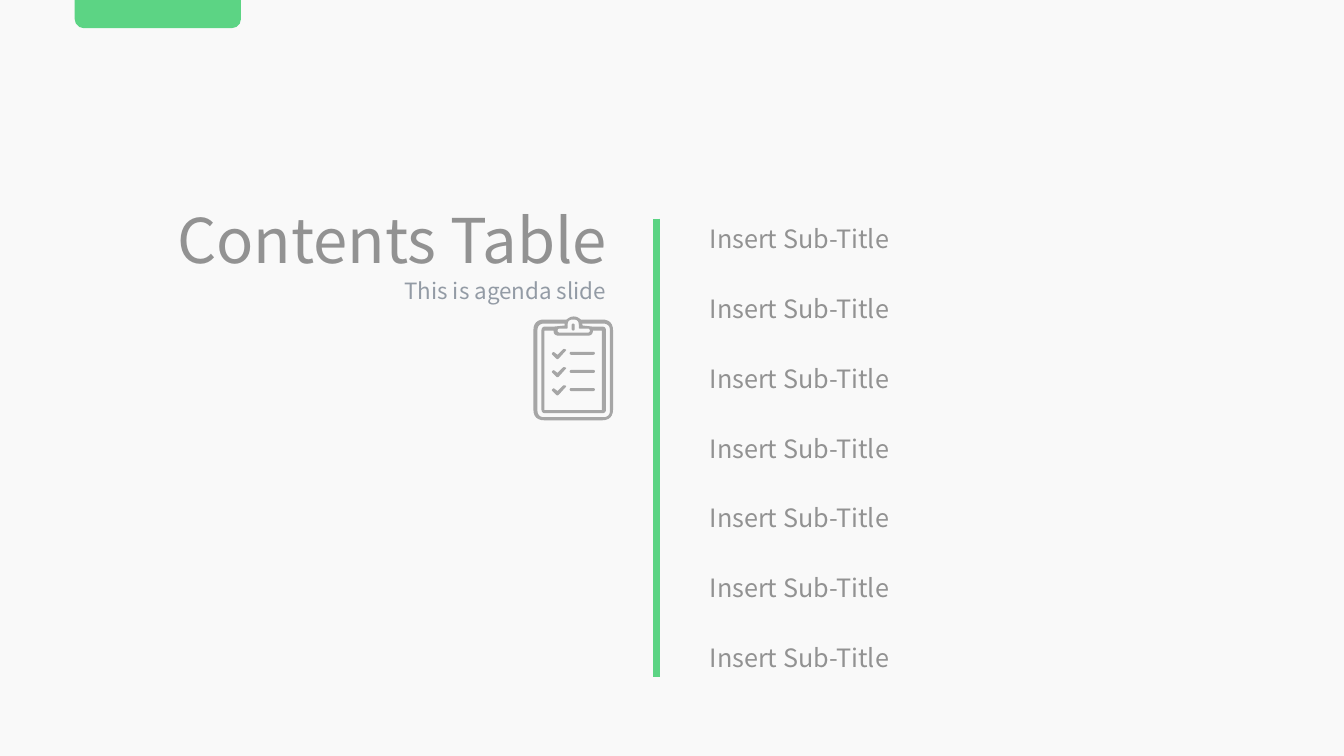
from lxml.etree import SubElement
from pptx import Presentation
from pptx.dml.color import RGBColor
from pptx.enum.shapes import MSO_CONNECTOR, MSO_SHAPE
from pptx.enum.text import MSO_AUTO_SIZE as FIT, PP_ALIGN as AL
from pptx.oxml.ns import qn
from pptx.util import Inches, Pt

BACKGROUND = RGBColor(0xF9, 0xF9, 0xF9)
GREEN = RGBColor(0x5C, 0xD4, 0x84)
GRAY = RGBColor(0x92, 0x92, 0x92)
BLUE_GRAY = RGBColor(0x93, 0x9B, 0xA5)
ICON_GRAY = RGBColor(0xA6, 0xA6, 0xA6)
FONT = "Noto Sans CJK KR"

SUBTITLES = ["Insert Sub-Title"] * 7
FIRST_ROW, LAST_ROW = 2.17, 6.32
CHECK_TOP, CHECK_STEP = 3.46, 0.18

BOARD = [(5.29, 3.17, 0.11), (5.62, 3.17, 0), (5.66, 3.14, 0.03), (5.72, 3.14, 0.03),
         (5.76, 3.17, 0), (6.08, 3.17, 0.11), (6.08, 4.17, 0.11), (5.29, 4.17, 0.11)]
CLIP = [(5.53, 3.26, 0.02), (5.63, 3.26, 0.01), (5.63, 3.17, 0.05), (5.74, 3.17, 0.05),
        (5.74, 3.26, 0.01), (5.85, 3.26, 0.02), (5.85, 3.3, 0.02), (5.53, 3.3, 0.02)]
PAGE = [(5.4, 3.28, 0), (5.49, 3.28, 0), (5.49, 3.33, 0.05), (5.88, 3.33, 0.05),
        (5.88, 3.28, 0), (5.97, 3.28, 0), (5.97, 4.07, 0), (5.4, 4.07, 0)]
GAP = [(5.6, 3.21, 0), (5.33, 3.21, 0.07), (5.33, 4.14, 0.07), (6.05, 4.14, 0.07),
       (6.05, 3.21, 0.07), (5.77, 3.21, 0), (5.78, 3.23, 0), (5.87, 3.24, 0),
       (6.01, 3.24, 0.04), (6.01, 4.1, 0.04), (5.37, 4.1, 0.04), (5.37, 3.24, 0.04),
       (5.5, 3.24, 0), (5.6, 3.23, 0)]
CHECK = [(5.47, 0.05, 0.01), (5.49, 0.03, 0.01), (5.53, 0.06, 0),
         (5.59, 0, 0.01), (5.62, 0.01, 0.01), (5.53, 0.11, 0.02)]


def paint(sp, color):
    """Give a shape a plain fill without line or shadow."""
    sp.shadow.inherit = False
    sp.fill.solid()
    sp.fill.fore_color.rgb = color
    sp.line.fill.background()


def add_text(s, box, text, size, color=GRAY, align=AL.LEFT):
    """Add one line of text in a box."""
    tf = s.shapes.add_textbox(*map(Inches, box)).text_frame
    tf.word_wrap = True
    tf.auto_size = FIT.SHAPE_TO_FIT_TEXT
    p = tf.paragraphs[0]
    p.alignment = align
    r = p.add_run()
    r.text = text
    for name, value in {"name": FONT, "size": Pt(size)}.items():
        setattr(r.font, name, value)
    r.font.color.rgb = color


def add_divider(s, x, top, bottom):
    """Add the vertical green line."""
    line = s.shapes.add_connector(MSO_CONNECTOR.STRAIGHT, *map(Inches, (x, top, x, bottom)))
    line.line.color.rgb = GREEN
    line.line.width = Pt(4.5)
    SubElement(line._element.spPr, qn("a:effectLst"))


def round_corners(corners, steps=6):
    """Return the points of a polygon with its corners rounded."""
    points = []
    for i, (x, y, radius) in enumerate(corners):
        if not radius:
            points.append((Inches(x), Inches(y)))
            continue
        ends = []
        for nx, ny, _ in (corners[i - 1], corners[(i + 1) % len(corners)]):
            part = radius / ((nx - x) ** 2 + (ny - y) ** 2) ** 0.5
            ends.append((x + (nx - x) * part, y + (ny - y) * part))
        (ax, ay), (bx, by) = ends
        for t in (k / steps for k in range(steps + 1)):
            a, c, b = (1 - t) ** 2, 2 * t * (1 - t), t ** 2
            points.append((Inches(a * ax + c * x + b * bx), Inches(a * ay + c * y + b * by)))
    return points


def add_outline(shapes, *contours):
    """Add a freeform whose later contours are holes."""
    first, *holes = map(round_corners, contours)
    builder = shapes.build_freeform(*first[0])
    builder.add_line_segments(first[1:])
    for hole in holes:
        builder.move_to(*hole[0])
        builder.add_line_segments(hole[1:])
    paint(builder.convert_to_shape(), ICON_GRAY)


def add_pill(shapes, *box):
    """Add a bar with fully round ends."""
    sp = shapes.add_shape(MSO_SHAPE.ROUNDED_RECTANGLE, *map(Inches, box))
    sp.adjustments[0] = 0.5
    paint(sp, ICON_GRAY)


def add_clipboard(s):
    """Add the clipboard icon with its checklist."""
    shapes = s.shapes.add_group_shape().shapes
    add_outline(shapes, BOARD, CLIP, PAGE, GAP)
    add_pill(shapes, 5.67, 3.21, 0.03, 0.07)
    for i in range(3):
        top = CHECK_TOP + i * CHECK_STEP
        add_pill(shapes, 5.65, top + 0.03, 0.25, 0.03)
        add_outline(shapes, [(x, top + y, radius) for x, y, radius in CHECK])


def add_tab(s):
    """Add the green tab at the top edge."""
    sp = s.shapes.add_shape(MSO_SHAPE.ROUND_2_SAME_RECTANGLE,
                            *map(Inches, (0.74, 0, 1.65, 0.28)))
    sp.adjustments[0] = 0
    sp.adjustments[1] = 0.33
    paint(sp, GREEN)


def main():
    """Build the contents slide and save it."""
    prs = Presentation()
    prs.slide_width, prs.slide_height = Inches(13.33), Inches(7.5)
    s = prs.slides.add_slide(prs.slide_layouts[6])
    s.background.fill.solid()
    s.background.fill.fore_color.rgb = BACKGROUND
    step = (LAST_ROW - FIRST_ROW) / (len(SUBTITLES) - 1)
    for i, subtitle in enumerate(SUBTITLES):
        add_text(s, (6.94, FIRST_ROW + i * step, 3.95, 0.4), subtitle, 18)
    add_text(s, (0.74, 1.95, 5.38, 0.84), "Contents Table", 44, align=AL.RIGHT)
    add_text(s, (2.25, 2.7, 3.86, 0.37), "This is agenda slide", 16, BLUE_GRAY, AL.RIGHT)
    add_divider(s, 6.51, FIRST_ROW, 6.72)
    add_clipboard(s)
    add_tab(s)
    prs.save("out.pptx")


if __name__ == "__main__":
    main()
